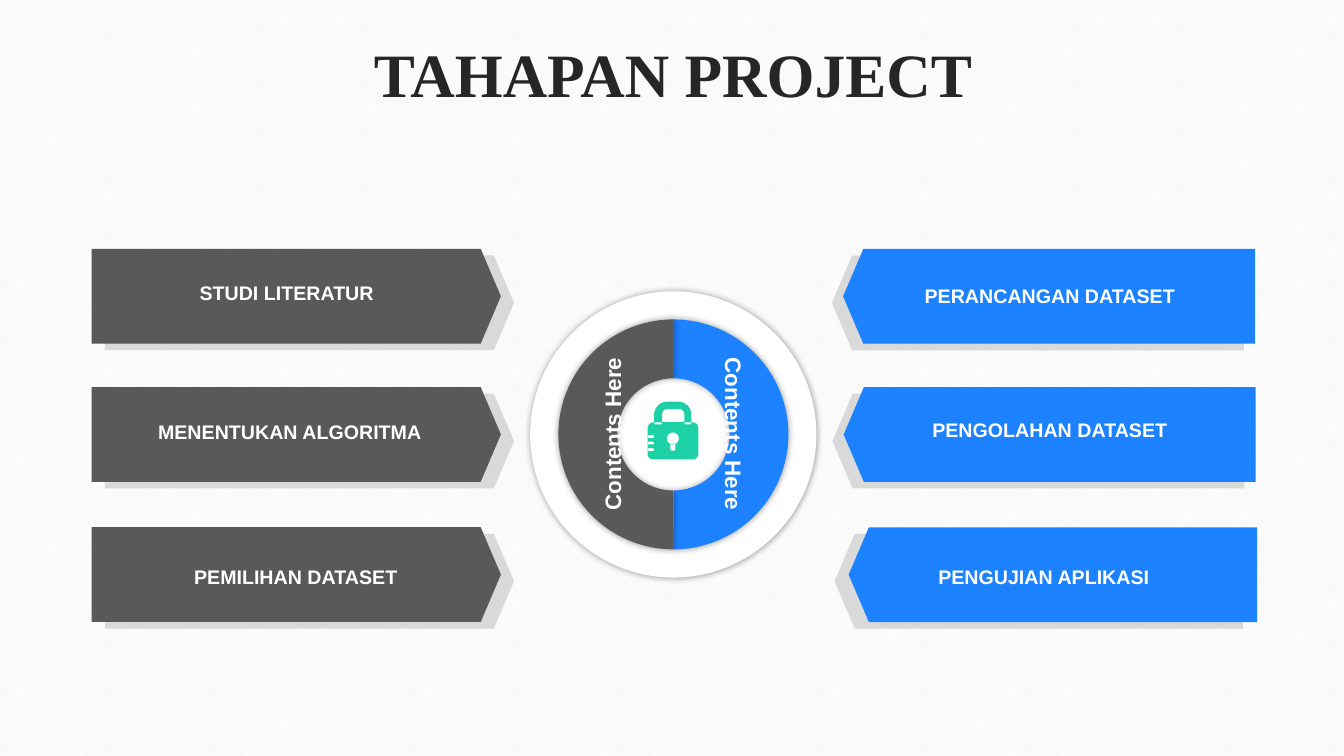
import math
import lxml.etree
import pptx
import pptx.dml.color
import pptx.enum.dml
import pptx.enum.shapes
import pptx.enum.text
import pptx.oxml.ns
import pptx.util

Pt = pptx.util.Pt
SHAPES = pptx.enum.shapes.MSO_SHAPE
GREY, BLUE, WHITE, SHADE, GREEN, INK = "595959", "1C82FF", "FFFFFF", "D9D9D9", "1ED0A6", "262626"
PLATE_HEIGHT = 67.7

LEFT_STAGES = [
    ("STUDI LITERATUR", 84.2, 197.3, 177.8),
    ("MENENTUKAN ALGORITMA", 86.4, 296.6, 276.5),
    ("PEMILIHAN DATASET", 90.7, 400.3, 376.6),
]
RIGHT_STAGES = [
    ("PERANCANGAN DATASET", 629.3, 199.4, 602.2, 177.8, 294.3, -8),
    ("PENGOLAHAN DATASET", 629.3, 295.2, 602.6, 276.5, 294.3, -8),
    ("PENGUJIAN APLIKASI", 625, 400.3, 606.2, 376.6, 291.8, -10.1),
]
LOCK_LEFT, LOCK_TOP = 462.6, 286.9
LOCK_PARTS = [
    (4.6, 0, 31.3, 14.8, 9.4, 0),
    (10.4, 5.3, 26.2, 14.6, 3.6, 0),
    (0, 14.8, 36.2, 41.3, 4, 4),
    (4.6, 14.8, 10.4, 16.2, 0.7, 0.7),
    (26.2, 14.8, 31.3, 16.2, 0.7, 0.7),
    (13.7, 22, 22.3, 30.6, 4.3, 4.3),
    (16.3, 30.2, 19.9, 35, 0, 1),
] + [(0, top, 4.6, top + 2, 0.9, 0.9) for top in (24, 28.6, 33.3)]


def colour(value):
    return pptx.dml.color.RGBColor.from_string(value)


def paint(shape, fill):
    shape.shadow.inherit = False
    shape.fill.solid()
    shape.fill.fore_color.rgb = colour(fill)
    shape.line.fill.background()


def add_shape(page, kind, box, fill, adjustments=(), rotation=0):
    shape = page.shapes.add_shape(kind, *map(Pt, box))
    for index, value in enumerate(adjustments):
        shape.adjustments[index] = value
    shape.rotation = rotation
    paint(shape, fill)
    return shape


def add_glow(shape):
    effects = shape._element.spPr.find(pptx.oxml.ns.qn("a:effectLst"))
    shadow = lxml.etree.SubElement(
        effects, pptx.oxml.ns.qn("a:outerShdw"), blurRad=str(Pt(5)), dist="0", algn="ctr", rotWithShape="0")
    black = lxml.etree.SubElement(shadow, pptx.oxml.ns.qn("a:srgbClr"), val="000000")
    lxml.etree.SubElement(black, pptx.oxml.ns.qn("a:alpha"), val="40000")


def add_text(page, text, box, size, font="Arial", fill=WHITE, rotation=0, middle=False):
    label = page.shapes.add_textbox(*map(Pt, box))
    label.rotation = rotation
    frame = label.text_frame
    frame.word_wrap = True
    if middle:
        frame.vertical_anchor = pptx.enum.text.MSO_ANCHOR.MIDDLE
    frame.text = text
    para = frame.paragraphs[0]
    para.alignment = pptx.enum.text.PP_ALIGN.CENTER
    span = para.runs[0]
    span.font.name = font
    span.font.size = Pt(size)
    span.font.bold = True
    span.font.color.rgb = colour(fill)
    return para


def add_plate(page, left, top, width, shift, fill, rotation=0):
    for x, y, shade in ((left + shift, top + 4.7, SHADE), (left, top, fill)):
        add_shape(page, SHAPES.PENTAGON, (x, y, width, PLATE_HEIGHT), shade, [0.213], rotation)


def add_ring(page):
    add_glow(add_shape(page, SHAPES.OVAL, (378.7, 208.1, 204.5, 204.5), WHITE))
    half = (398.9, 228.2, 164.2, 164.2)
    add_glow(add_shape(page, SHAPES.BLOCK_ARC, half, BLUE, [108, 215.91, 0.256], 90))
    add_glow(add_shape(page, SHAPES.BLOCK_ARC, half, GREY, [53.95, 162.09, 0.256]))


def rounded_outline(left, top, right, bottom, top_radius, bottom_radius):
    corners = [
        (left + top_radius, top + top_radius, top_radius, 180),
        (right - top_radius, top + top_radius, top_radius, 270),
        (right - bottom_radius, bottom - bottom_radius, bottom_radius, 0),
        (left + bottom_radius, bottom - bottom_radius, bottom_radius, 90),
    ]
    points = []
    for x, y, radius, start in corners:
        for angle in range(start, start + 91, 15) if radius else [start]:
            turn = math.radians(angle)
            points.append((round(100 * (LOCK_LEFT + x + radius * math.cos(turn))),
                           round(100 * (LOCK_TOP + y + radius * math.sin(turn)))))
    return points


def add_lock(page):
    outlines = [rounded_outline(*part) for part in LOCK_PARTS]
    builder = page.shapes.build_freeform(*outlines[0][0], scale=Pt(0.01))
    for index, outline in enumerate(outlines):
        if index:
            builder.move_to(*outline[0])
        builder.add_line_segments(outline[1:], close=True)
    paint(builder.convert_to_shape(), GREEN)


def main():
    deck = pptx.Presentation()
    deck.slide_width, deck.slide_height = Pt(960), Pt(540)
    page = deck.slides.add_slide(deck.slide_layouts[6])
    backdrop = page.background.fill
    backdrop.patterned()
    backdrop.pattern = pptx.enum.dml.MSO_PATTERN.SMALL_CHECKER_BOARD
    backdrop.fore_color.rgb = colour("F2F2F2")
    backdrop.back_color.rgb = colour(WHITE)

    title = add_text(page, "TAHAPAN PROJECT", (25.2, 26.6, 911.5, 56.9), 44, "Times New Roman", INK, middle=True)
    title.line_spacing = 0.9
    title.space_before = Pt(10)

    add_ring(page)
    for text, text_left, text_top, top in LEFT_STAGES:
        add_plate(page, 65.5, top, 292.3, 9.4, GREY)
        add_text(page, text, (text_left, text_top, 241.2, 20.2), 14)
    for text, text_left, text_top, left, top, width, shift in RIGHT_STAGES:
        add_plate(page, left, top, width, shift, BLUE, 180)
        add_text(page, text, (text_left, text_top, 241.2, 20.2), 14)
    for centre, rotation in ((437.3, 270), (524.3, 90)):
        add_text(page, "Contents Here", (centre - 90, 297, 180, 26), 16, rotation=rotation, middle=True)
    add_lock(page)
    deck.save("out.pptx")


if __name__ == "__main__":
    main()
